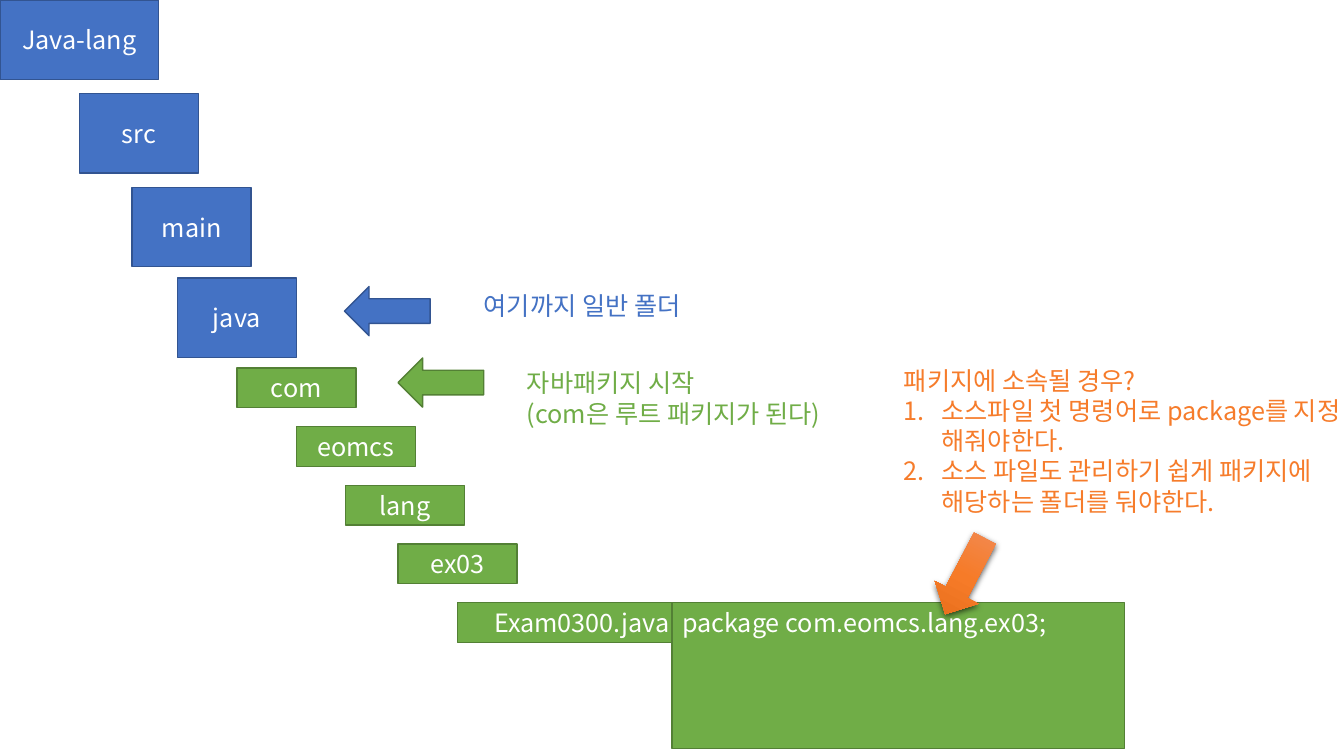
from copy import deepcopy
from typing import NamedTuple

from lxml.etree import SubElement
from pptx import Presentation
from pptx.dml.color import RGBColor
from pptx.enum.shapes import MSO_SHAPE as Kind
from pptx.enum.text import MSO_ANCHOR as Anchor, MSO_AUTO_SIZE as Fit, PP_ALIGN as Align
from pptx.oxml.ns import qn
from pptx.shapes.autoshape import Shape
from pptx.slide import Slide
from pptx.text.text import TextFrame
from pptx.util import Cm, Pt

BLUE = RGBColor(0x44, 0x72, 0xC4)
NAVY = RGBColor(0x32, 0x54, 0x91)
GREEN = RGBColor(0x70, 0xAD, 0x47)
MOSS = RGBColor(0x53, 0x80, 0x35)
ORANGE = RGBColor(0xF6, 0x7C, 0x2B)
WHITE = RGBColor(0xFF, 0xFF, 0xFF)
GLOW = (
    RGBColor(0xF1, 0x8C, 0x57),
    RGBColor(0xF6, 0x7B, 0x28),
    RGBColor(0xE5, 0x6C, 0x19),
)
EDGES = {BLUE: NAVY, GREEN: MOSS}

FACE = "Noto Sans CJK KR"
FONT = {"name": FACE, "size": Pt(18)}
SHADOW = {"blurRad": Pt(4.5), "dist": Pt(1.5), "dir": 90 * 60000, "rotWithShape": 0}
PITCH = 1.48  # vertical step between packages, cm
START = 9.27


class Box(NamedTuple):
    text: str
    left: float
    top: float
    width: float
    height: float
    color: RGBColor


class Arrow(NamedTuple):
    left: float
    top: float
    turn: float
    color: RGBColor


class Note(NamedTuple):
    lines: tuple[str, ...]
    left: float
    top: float
    width: float
    height: float
    color: RGBColor
    steps: bool = False


FOLDERS = [
    Box("Java-lang", 0, 0, 4, 2, BLUE),
    Box("src", 2, 2.36, 3, 2, BLUE),
    Box("main", 3.33, 4.72, 3, 2, BLUE),
    Box("java", 4.47, 7.01, 3, 2, BLUE),
]
PACKS = [
    ("com", 5.97, 3),
    ("eomcs", 7.47, 3),
    ("lang", 8.71, 3),
    ("ex03", 10.03, 3),
    ("Exam0300.java", 11.53, 6.27),
]
TREE = FOLDERS + [
    Box(text, left, START + row * PITCH, width, 1, GREEN)
    for row, (text, left, width) in enumerate(PACKS)
]
CODE = Box("package com.eomcs.lang.ex03;", 16.94, 15.19, 11.4, 3.68, GREEN)
MARKS = [Arrow(9.14, 6.76, 90, BLUE), Arrow(10.49, 8.56, 90, GREEN)]
POINTER = Arrow(23.7, 13.44, 27.6, ORANGE)
NOTES = [
    Note(("여기까지 일반 폴더",), 11.94, 7.19, 8.13, 1.02, BLUE),
    Note(("자바패키지 시작", "(com은 루트 패키지가 된다)"), 13.03, 9.14, 11.61, 1.8, GREEN),
    Note(
        (
            "패키지에 소속될 경우?",
            "소스파일 첫 명령어로 package를 지정 해줘야한다.",
            "소스 파일도 관리하기 쉽게 패키지에 해당하는 폴더를 둬야한다.",
        ),
        22.53, 9.07, 11.61, 4.11, ORANGE, True,
    ),
]


def write(frame: TextFrame, lines: tuple[str, ...], color: RGBColor, align: Align) -> None:
    frame.word_wrap = True
    for pos, line in enumerate(lines):
        para = frame.add_paragraph() if pos else frame.paragraphs[0]
        para.alignment = align
        run = para.add_run()
        run.text = line
        for key, value in FONT.items():
            setattr(run.font, key, value)
        run.font.color.rgb = color
        SubElement(run.font._element, qn("a:ea"), typeface=FACE)


def paint(shape: Shape, color: RGBColor) -> None:
    shape.shadow.inherit = False
    shape.fill.solid()
    shape.fill.fore_color.rgb = color
    shape.line.color.rgb = EDGES[color]
    shape.line.width = Pt(1)


def draw_box(slide: Slide, box: Box, align: Align, anchor: Anchor) -> None:
    area = map(Cm, (box.left, box.top, box.width, box.height))
    shape = slide.shapes.add_shape(Kind.RECTANGLE, *area)
    paint(shape, box.color)
    shape.text_frame.vertical_anchor = anchor
    write(shape.text_frame, (box.text,), WHITE, align)


def add_arrow(slide: Slide, arrow: Arrow) -> Shape:
    area = map(Cm, (arrow.left, arrow.top, 1.24, 2.16))
    shape = slide.shapes.add_shape(Kind.DOWN_ARROW, *area)
    shape.rotation = arrow.turn
    return shape


def shade(shape: Shape) -> None:
    """Give the shape the orange gradient and a soft drop shadow."""
    shape.line.fill.background()
    shape.fill.gradient()
    shape.fill.gradient_angle = 270
    props = shape._element.spPr
    stops = props.find(".//" + qn("a:gsLst"))
    stops.insert(1, deepcopy(stops[0]))
    for pos, (stop, color) in enumerate(zip(shape.fill.gradient_stops, GLOW)):
        stop.position = pos / 2
        stop.color.rgb = color
    shape.shadow.inherit = False
    values = {key: str(value) for key, value in SHADOW.items()}
    outer = SubElement(props.find(qn("a:effectLst")), qn("a:outerShdw"), values)
    tint = SubElement(outer, qn("a:srgbClr"), val="000000")
    SubElement(tint, qn("a:alpha"), val="63000")


def draw_note(slide: Slide, note: Note) -> None:
    area = map(Cm, (note.left, note.top, note.width, note.height))
    frame = slide.shapes.add_textbox(*area).text_frame
    write(frame, note.lines, note.color, Align.LEFT)
    frame.auto_size = Fit.SHAPE_TO_FIT_TEXT
    if note.steps:
        for para in frame.paragraphs[1:]:
            props = para._p.get_or_add_pPr()
            props.set("marL", str(Cm(0.95)))
            props.set("indent", str(-Cm(0.95)))
            SubElement(props, qn("a:buFont"), typeface="+mj-lt")
            SubElement(props, qn("a:buAutoNum"), type="arabicPeriod")


def main() -> None:
    deck = Presentation()
    deck.slide_width, deck.slide_height = Cm(33.87), Cm(19.05)
    slide = deck.slides.add_slide(deck.slide_layouts[6])
    for box in TREE:
        draw_box(slide, box, Align.CENTER, Anchor.MIDDLE)
    for mark in MARKS:
        paint(add_arrow(slide, mark), mark.color)
    draw_box(slide, CODE, Align.LEFT, Anchor.TOP)
    shade(add_arrow(slide, POINTER))
    for note in NOTES:
        draw_note(slide, note)
    deck.save("out.pptx")


if __name__ == "__main__":
    main()
